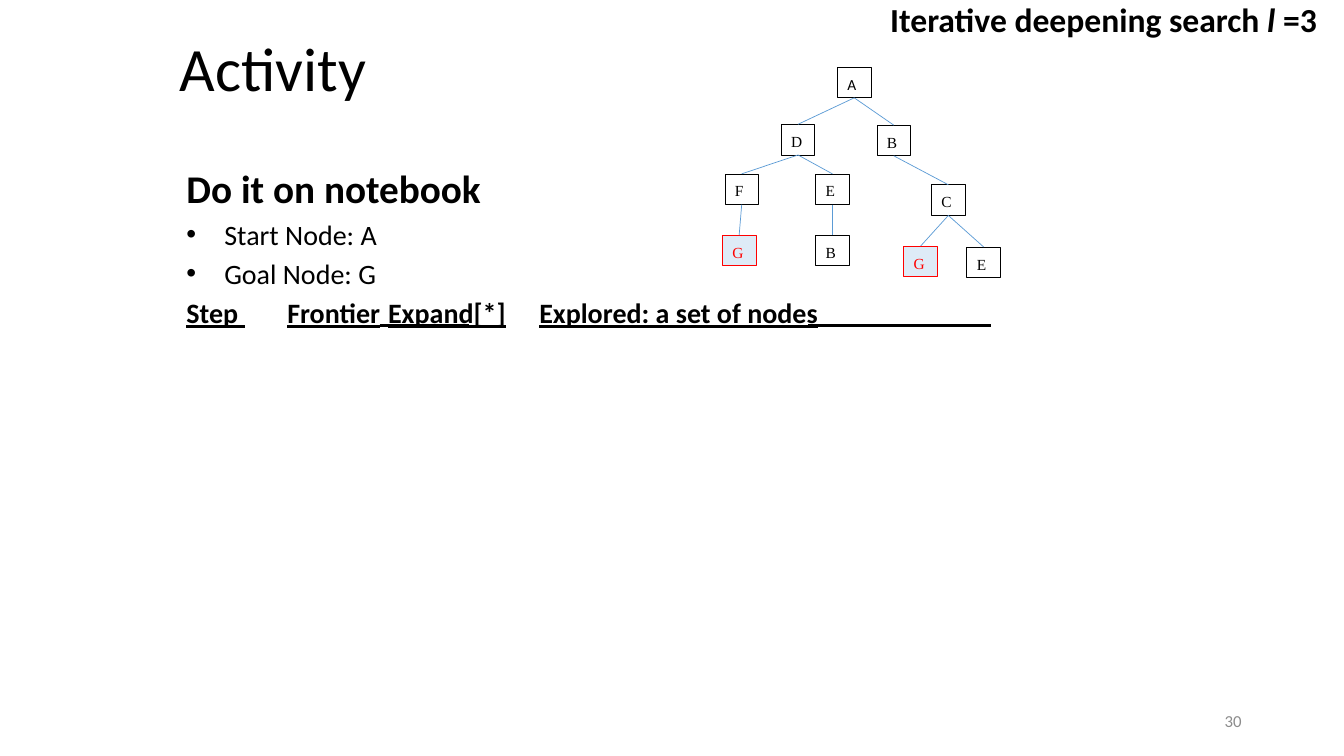
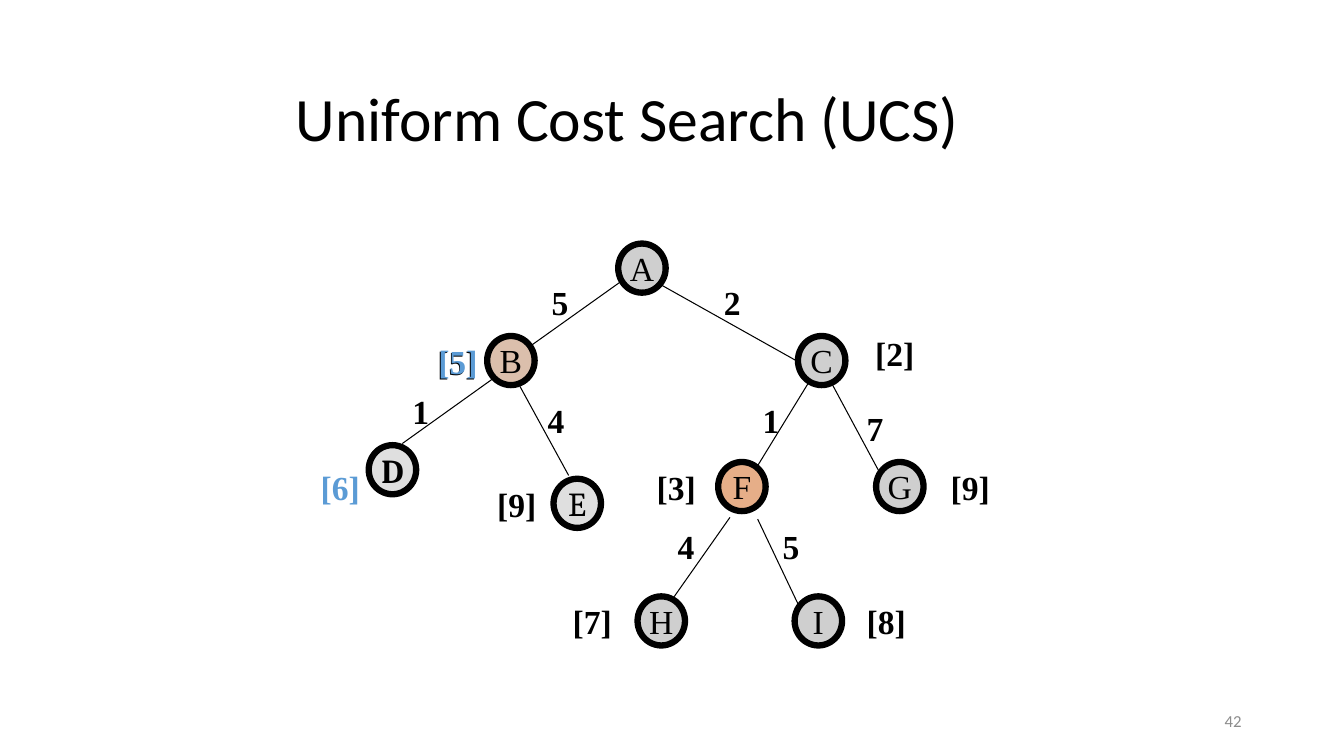
from lxml import etree
from pptx import Presentation
from pptx import util as u
from pptx.dml.color import RGBColor
from pptx.enum import shapes, text
from pptx.oxml.ns import qn

COLUMNS, ROWS = 160, 90
CELL = u.Inches(1) // 12
BLACK, WHITE, GREY, BLUE, RED = "000000", "FFFFFF", "8C8C8C", "5B9BD5", "FF0000"
PALE_BLUE, SILVER, LIGHT, PEACH, ORANGE = "DEEBF7", "CFCFCF", "DFDFDF", "DBBFAC", "E6AE88"
SANS, SERIF, BOOK = "Calibri", "Times New Roman", "Cambria"
LEFT, CENTER, RIGHT = text.PP_ALIGN.LEFT, text.PP_ALIGN.CENTER, text.PP_ALIGN.RIGHT
TOP, MIDDLE = text.MSO_ANCHOR.TOP, text.MSO_ANCHOR.MIDDLE
RECT, OVAL = shapes.MSO_SHAPE.RECTANGLE, shapes.MSO_SHAPE.OVAL


def cells(*lengths):
    """Turn grid cells into EMU."""
    return [u.Emu(round(length * CELL)) for length in lengths]


def color(value):
    return RGBColor.from_string(value)


def style(paragraph, size, font=SANS, ink=BLACK, bold=False, underline=False):
    for run in paragraph.runs:
        run.font.size, run.font.name = u.Pt(size), font
        run.font.bold, run.font.underline = bold, underline
        run.font.color.rgb = color(ink)


def add_bullet(paragraph, char=None, indent=0.0, tabs=()):
    """Set the bullet (None for no bullet), hanging indent and tab stops, in cells."""
    props = paragraph._p.get_or_add_pPr()
    hang = cells(indent)[0]
    props.set("marL", str(hang))
    props.set("indent", str(-hang))
    if char:
        etree.SubElement(props, qn("a:buFont")).set("typeface", "Arial")
        etree.SubElement(props, qn("a:buChar")).set("char", char)
    else:
        etree.SubElement(props, qn("a:buNone"))
    if tabs:
        stops = etree.SubElement(props, qn("a:tabLst"))
        for stop in cells(*tabs):
            etree.SubElement(stops, qn("a:tab"), pos=str(stop), algn="l")


class Deck:
    def __init__(self):
        self.file = Presentation()
        self.file.slide_width, self.file.slide_height = cells(COLUMNS, ROWS)
        self.slide = None

    def new_slide(self, layout, title, title_box, number):
        self.slide = self.file.slides.add_slide(self.file.slide_layouts.get_by_name(layout))
        heading = self.slide.shapes.title
        self.place(heading, title_box)
        heading.text_frame.text = title
        heading.text_frame.vertical_anchor = MIDDLE
        line = heading.text_frame.paragraphs[0]
        line.alignment, line.line_spacing = LEFT, 0.9
        style(line, 44)
        self.label(number, (113, 83.4, 36, 4.8), size=12, ink=GREY, align=RIGHT, anchor=MIDDLE)

    def place(self, shape, box):
        shape.left, shape.top, shape.width, shape.height = cells(*box)

    def label(self, words, box, size=24, font=SANS, ink=BLACK, bold=False,
              align=LEFT, anchor=TOP):
        frame = self.slide.shapes.add_textbox(*cells(*box)).text_frame
        frame.word_wrap, frame.vertical_anchor = True, anchor
        frame.text = words
        frame.paragraphs[0].alignment = align
        style(frame.paragraphs[0], size, font, ink, bold)
        return frame.paragraphs[0]

    def node(self, kind, letter, box, fill, border, weight):
        shape = self.slide.shapes.add_shape(kind, *cells(*box))
        shape.shadow.inherit = False
        shape.fill.solid()
        shape.fill.fore_color.rgb = color(fill)
        shape.line.color.rgb, shape.line.width = color(border), u.Pt(weight)
        shape.text_frame.word_wrap = False
        shape.text_frame.text = letter
        return shape

    def square(self, letter, left, top, goal=False, font=SERIF):
        ink = RED if goal else BLACK
        shape = self.node(RECT, letter, (left, top, 4, 3.65),
                          PALE_BLUE if goal else WHITE, ink, 0.5)
        shape.text_frame.vertical_anchor = TOP
        line = shape.text_frame.paragraphs[0]
        line.alignment, line.line_spacing = LEFT, 1.15
        style(line, 11, font, ink)
        return shape

    def circle(self, letter, left, top, fill=SILVER, font=SERIF, bold=False):
        shape = self.node(OVAL, letter, (left, top, 5.65, 5.85), fill, BLACK, 4.5)
        frame = shape.text_frame
        frame.margin_left = frame.margin_right = frame.margin_top = frame.margin_bottom = 0
        frame.vertical_anchor = MIDDLE
        frame.paragraphs[0].alignment = CENTER
        style(frame.paragraphs[0], 24, font, bold=bold)

    def line(self, x1, y1, x2, y2, ink=BLACK, weight=0.75):
        connector = self.slide.shapes.add_connector(
            shapes.MSO_CONNECTOR.STRAIGHT, *cells(x1, y1, x2, y2))
        connector.line.color.rgb, connector.line.width = color(ink), u.Pt(weight)
        etree.SubElement(connector._element.spPr, qn("a:effectLst"))
        return connector

    def branch(self, parent, child):
        """Join the bottom of a square to the top of the one below."""
        connector = self.line(0, 0, 1, 1, BLUE, 0.5)
        connector.begin_connect(parent, 2)
        connector.end_connect(child, 0)


def build_activity(deck):
    deck.new_slide("Title and Content", "Activity", (20.2, 1, 66.5, 15), "30")
    body = deck.slide.placeholders[1]
    deck.place(body, (21, 19, 132.2, 63.4))
    lines = [
        ("Do it on notebook", 28, True, {}),
        ("Start Node: A", 20, False, {"char": "•", "indent": 4.5}),
        ("Goal Node: G", 20, False, {"char": "•", "indent": 4.5}),
        ("Step \tFrontier\tExpand[*]\tExplored: a set of nodes", 20, True,
         {"tabs": (12, 60, 95.8)}),
    ]
    body.text_frame.text = "\n".join(words for words, *_ in lines)
    for paragraph, (_, size, bold, bullet) in zip(body.text_frame.paragraphs, lines):
        add_bullet(paragraph, **bullet)
        paragraph.space_before = u.Pt(4 if bullet else 0)
        style(paragraph, size, bold=bold, underline="tabs" in bullet)
    for start, end in ((45.2, 55.8), (96.2, 118)):
        deck.line(start, 38.8, end, 38.8, weight=2)

    squares = {
        "A": deck.square("A", 99.7, 8, font=SANS),
        "D": deck.square("D", 93, 14.8),
        "B": deck.square("B", 104.4, 14.9),
        "F": deck.square("F", 86.3, 20.7),
        "E": deck.square("E", 97.1, 20.7),
        "C": deck.square("C", 110.9, 22),
        "FG": deck.square("G", 86, 28, goal=True),
        "EB": deck.square("B", 97.1, 28),
        "CG": deck.square("G", 107.6, 29.3, goal=True),
        "CE": deck.square("E", 115.1, 29.4),
    }
    for parent, children in {"A": "D B", "D": "F E", "B": "C", "F": "FG",
                             "E": "EB", "C": "CG CE"}.items():
        for child in children.split():
            deck.branch(squares[parent], squares[child])

    caption = deck.label("Iterative deepening search ", (104.8, -0.7, 55.2, 6), bold=True)
    for words in ("l ", "=3"):
        caption.add_run().text = words
    style(caption, 24, bold=True)
    caption.runs[1].font.italic = True


def build_uniform_cost(deck):
    deck.new_slide("Title Only", "Uniform Cost Search (UCS)", (34, 7, 102, 15), "42")
    branches = [
        (73.8, 33.6, 63, 41.3), (78.5, 33.8, 94.9, 43),
        (58.8, 45, 47.9, 52.8), (61.9, 46, 67.7, 56.6),
        (96.3, 45.5, 90.1, 55.6), (99.1, 45.8, 104.8, 56.4),
        (86.9, 61.6, 80, 71.4), (90.2, 61.8, 95.1, 72.1),
    ]
    for ends in branches:
        deck.line(*ends)

    for letter, left, top in (("A", 73.6, 29), ("C", 95, 40), ("G", 104.3, 55),
                              ("H", 75.9, 71), ("I", 94.6, 71)):
        deck.circle(letter, left, top)
    deck.circle("B", 58, 40, PEACH)
    deck.circle("F", 85.5, 55, ORANGE)
    deck.circle("D", 43.9, 53, LIGHT, BOOK, bold=True)
    deck.circle("E", 65.9, 57, LIGHT, BOOK)

    step_costs = [("5", 64.5, 33), ("2", 85, 33), ("1", 47.9, 46), ("4", 64, 47),
                  ("1", 89.6, 47), ("7", 102, 48), ("4", 79.5, 62), ("5", 92, 62)]
    path_costs = [("[5]", 50.9, 40.1), ("[2]", 103, 39), ("[9]", 58, 57), ("[3]", 77, 55),
                  ("[9]", 112, 55), ("[7]", 67, 71), ("[8]", 102, 71)]
    explored_costs = [("[5]", 51, 40), ("[6]", 37, 55)]
    for costs, width, ink in ((step_costs, 4.4, BLACK), (path_costs, 7.1, BLACK),
                              (explored_costs, 7.1, BLUE)):
        for cost, left, top in costs:
            deck.label(cost, (left, top, width, 6), font=SERIF, ink=ink, bold=True)


def main():
    deck = Deck()
    build_activity(deck)
    build_uniform_cost(deck)
    deck.file.save("out.pptx")


if __name__ == "__main__":
    main()
